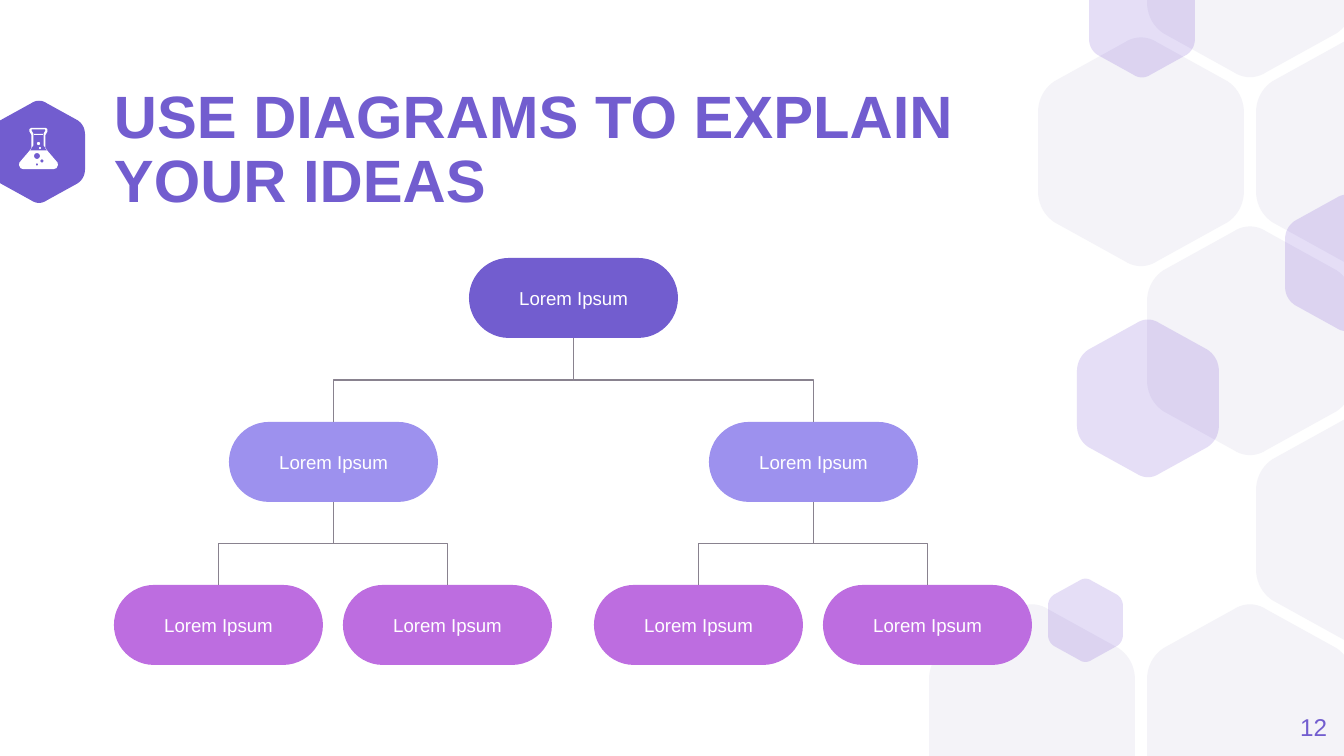
from math import cos, pi, sin

from lxml.etree import SubElement
from pptx import Presentation
from pptx.dml.color import RGBColor
from pptx.enum.shapes import MSO_CONNECTOR as Connector, MSO_SHAPE as Shape
from pptx.enum.text import MSO_ANCHOR as Anchor, MSO_AUTO_SIZE as AutoSize, PP_ALIGN as Align
from pptx.oxml.ns import qn
from pptx.util import Pt

SLIDE_WIDTH, SLIDE_HEIGHT = 1344, 756
SCALE = 9144000 / SLIDE_WIDTH
TITLE_ONLY = 5
FONT = "Arial"

PURPLE = RGBColor(0x72, 0x5D, 0xCF)
LAVENDER = RGBColor(0x9D, 0x91, 0xEE)
ORCHID = RGBColor(0xBD, 0x6D, 0xE0)
VIOLET = RGBColor(0x53, 0x22, 0xC9)
MIST = RGBColor(0xF4, 0xF3, 0xF8)
GRAY = RGBColor(0x89, 0x82, 0x8F)
WHITE = RGBColor(0xFF, 0xFF, 0xFF)

HEXAGON_CORNERS = [
    [(1, 0.33), (1, 0.27), (0.97, 0.22), (0.92, 0.19)],
    [(0.58, 0.02), (0.53, -0.01), (0.47, -0.01), (0.42, 0.02)],
    [(0.08, 0.19), (0.03, 0.22), (0, 0.27), (0, 0.33)],
]
HEXAGON_RATIO = 1.105
GRID_CELLS = [(0, 3), (2, 3), (3, 0), (2, -1), (2, 1), (1, 0), (3, 2)]
ACCENT_HEXAGONS = [(1285, 195, 123), (1048, 579, 75), (1089, -40, 106), (1077, 320, 142)]

FLASK_OUTSIDE = [(75, 0), (90, 12), (90, 35), (70, 70), (70, 205),
                 (190, 345), (195, 370), (180, 402), (155, 410)]
FLASK_INSIDE = [(67, 15), (68, 28), (52, 55), (52, 175), (88, 223)]
FLASK_HOLES = [(180, 280, 30), (230, 330, 16), (180, 365, 11)]
FLASK_DOTS = [(18, 14, 3), (20, 19, 2)]

NODE_WIDTH, NODE_HEIGHT = 209, 80
LABEL = "Lorem Ipsum"
TREE_ROWS = [
    (0, PURPLE, [355]),
    (164, LAVENDER, [115, 595]),
    (327, ORCHID, [0, 229, 480, 709]),
]


def emu(*lengths):
    """Turn px lengths into EMU."""
    return [round(length * SCALE) for length in lengths]


def set_values(target, values):
    """Set attributes of an object from a dict."""
    for name, value in values.items():
        setattr(target, name, value)


def paint(shape, color, opacity=100):
    """Give a shape a plain fill without line or shadow."""
    shape.shadow.inherit = False
    shape.fill.solid()
    shape.fill.fore_color.rgb = color
    shape.line.fill.background()
    if opacity < 100:
        color_element = next(shape._element.iter(qn("a:srgbClr")))
        SubElement(color_element, qn("a:alpha")).set("val", str(opacity * 1000))


def write(shape, text, size, color, align, margin=0, bold=False, spacing=None):
    """Write one formatted paragraph, centred vertically."""
    frame = shape.text_frame
    frame.text = text
    set_values(frame, {"word_wrap": True, "auto_size": AutoSize.NONE,
                       "vertical_anchor": Anchor.MIDDLE})
    sides = ("left", "top", "right", "bottom")
    set_values(frame, {f"margin_{side}": emu(margin)[0] for side in sides})
    paragraph = frame.paragraphs[0]
    set_values(paragraph, {"alignment": align, "line_spacing": spacing})
    font = paragraph.runs[0].font
    set_values(font, {"name": FONT, "size": Pt(size), "bold": bold})
    font.color.rgb = color


def add_outline(slide, contours, color, opacity=100):
    """Draw closed px contours as one shape."""
    first, *others = [[emu(*point) for point in contour] for contour in contours]
    builder = slide.shapes.build_freeform(*first[0])
    builder.add_line_segments(first[1:], close=True)
    for contour in others:
        builder.move_to(*contour[0])
        builder.add_line_segments(contour[1:], close=True)
    paint(builder.convert_to_shape(), color, opacity)


def bezier(corner, steps=10):
    """Sample a cubic curve."""
    for step in range(steps + 1):
        t = step / steps
        weights = ((1 - t) ** 3, 3 * t * (1 - t) ** 2, 3 * t * t * (1 - t), t ** 3)
        yield tuple(sum(w * p[axis] for w, p in zip(weights, corner)) for axis in (0, 1))


def add_hexagon(slide, left, top, width, color, opacity=100):
    """Draw a rounded hexagon cut off at the top and bottom of the slide."""
    upper = [point for corner in HEXAGON_CORNERS for point in bezier(corner)]
    lower = [(1 - x, 1 - y) for x, y in upper]
    height = width * HEXAGON_RATIO
    points = [(left + x * width, min(max(top + y * height, 0), SLIDE_HEIGHT))
              for x, y in upper + lower]
    add_outline(slide, [points], color, opacity)


def add_background(slide, left, top):
    """Place the honeycomb and its translucent accents."""
    for column, row in GRID_CELLS:
        add_hexagon(slide, left + 109 * column, top + 189 * row, 206, MIST)
    for accent in ACCENT_HEXAGONS:
        add_hexagon(slide, *accent, VIOLET, 15)


def add_flask(slide, left, top):
    """Draw the flask icon, its contours in tenths of a px."""
    contours = [[(195 + x, y) for x, y in half] + [(195 - x, y) for x, y in reversed(half)]
                for half in (FLASK_OUTSIDE, FLASK_INSIDE)]
    angles = [2 * pi * step / 16 for step in range(16)]
    contours += [[(x + r * cos(a), y + r * sin(a)) for a in angles] for x, y, r in FLASK_HOLES]
    add_outline(slide, [[(left + x / 10, top + y / 10) for x, y in contour]
                        for contour in contours], WHITE)
    for x, y, size in FLASK_DOTS:
        paint(slide.shapes.add_shape(Shape.OVAL, *emu(left + x, top + y, size, size)), WHITE)
    paint(slide.shapes.add_shape(Shape.ROUNDED_RECTANGLE, *emu(left + 15, top + 6, 9, 1)), WHITE)


def add_header(slide, left, top, width, height):
    """Place the badge and the title."""
    add_hexagon(slide, left - 121, top - 21, 92, PURPLE)
    add_flask(slide, left - 95, top + 6)
    title = slide.shapes.title
    set_values(title, dict(zip(("left", "top", "width", "height"), emu(left, top, width, height))))
    write(title, "USE DIAGRAMS TO EXPLAIN YOUR IDEAS", 32, PURPLE, Align.LEFT,
          bold=True, spacing=0.9)


def add_branch(slide, parent, child):
    """Join a parent's bottom to a child's top with an elbow turned upright."""
    (start_x, start_y), (end_x, end_y) = parent, child
    drop, reach = end_y - start_y, abs(end_x - start_x)
    left = (start_x + end_x - drop) / 2
    top = (start_y + end_y - reach) / 2
    ends = (left + drop, left) if end_x > start_x else (left, left + drop)
    connector = slide.shapes.add_connector(
        Connector.ELBOW, *emu(ends[0], top, ends[1], top + reach))
    properties = connector._element.spPr
    properties.find(qn("a:xfrm")).set("rot", str(270 * 60000))
    connector.line.color.rgb = GRAY
    connector.line.width = Pt(0.75)
    SubElement(properties, qn("a:effectLst"))


def add_tree(slide, left, top):
    """Place the three rows of nodes, each node with two children."""
    parents = []
    for offset, color, columns in TREE_ROWS:
        row_top = top + offset
        centers = [left + column + NODE_WIDTH / 2 for column in columns]
        for index, center in enumerate(centers):
            node = slide.shapes.add_shape(
                Shape.ROUNDED_RECTANGLE,
                *emu(left + columns[index], row_top, NODE_WIDTH, NODE_HEIGHT))
            node.adjustments[0] = 0.5
            paint(node, color)
            write(node, LABEL, 10, WHITE, Align.CENTER, margin=13)
            if parents:
                add_branch(slide, parents[index // 2], (center, row_top))
        parents = [(center, row_top + NODE_HEIGHT) for center in centers]


def add_page_number(slide, left, top, width, height):
    """Place the page number."""
    box = slide.shapes.add_textbox(*emu(left, top, width, height))
    write(box, "12", 13, PURPLE, Align.RIGHT)


def main():
    """Build the slide and save it."""
    presentation = Presentation()
    width, height = emu(SLIDE_WIDTH, SLIDE_HEIGHT)
    set_values(presentation, {"slide_width": width, "slide_height": height})
    slide = presentation.slides.add_slide(presentation.slide_layouts[TITLE_ONLY])
    add_background(slide, 929, 38)
    add_header(slide, 114, 122, 883, 58)
    add_tree(slide, 114, 258)
    add_page_number(slide, 1246, 698, 81, 58)
    presentation.save("out.pptx")


if __name__ == "__main__":
    main()
